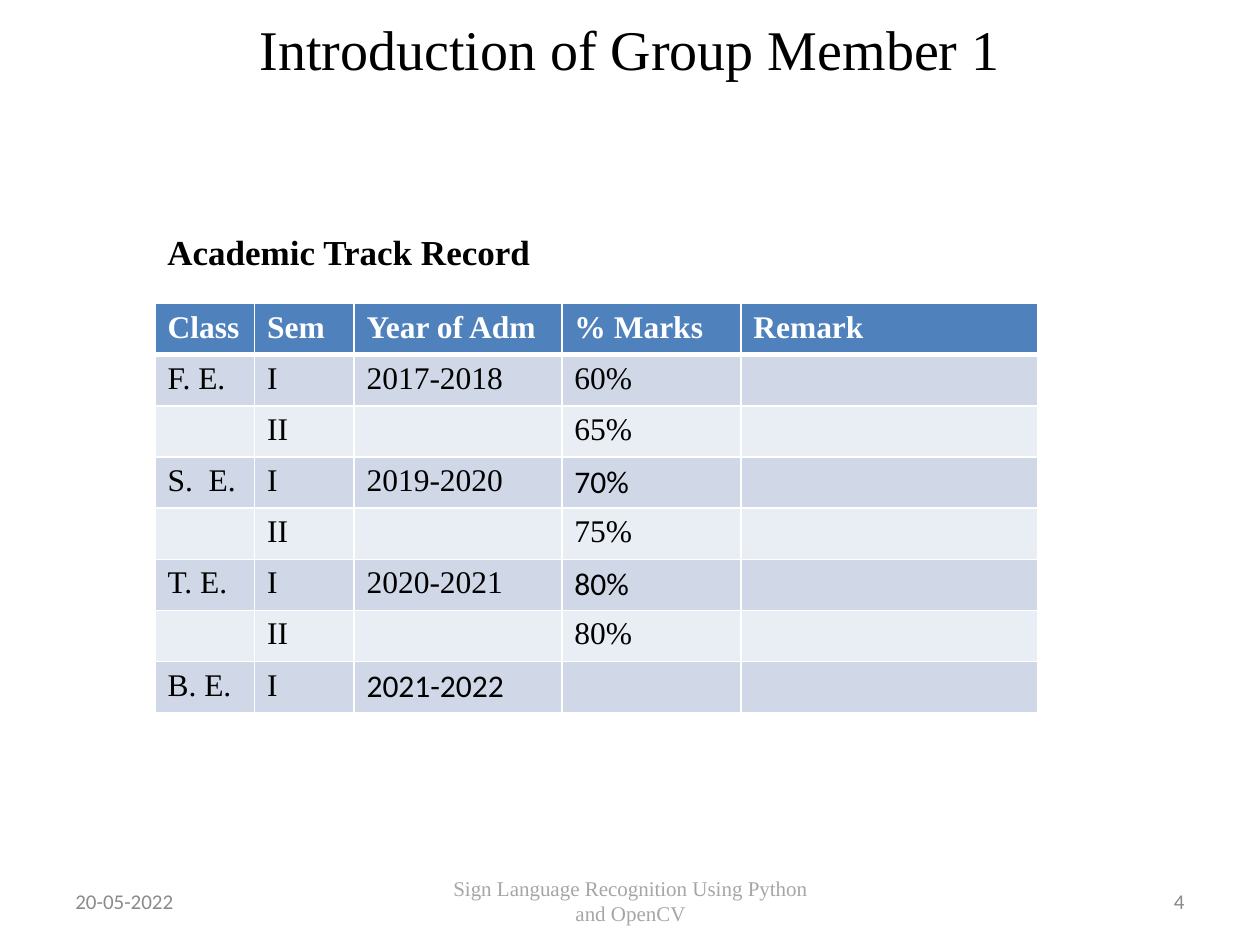
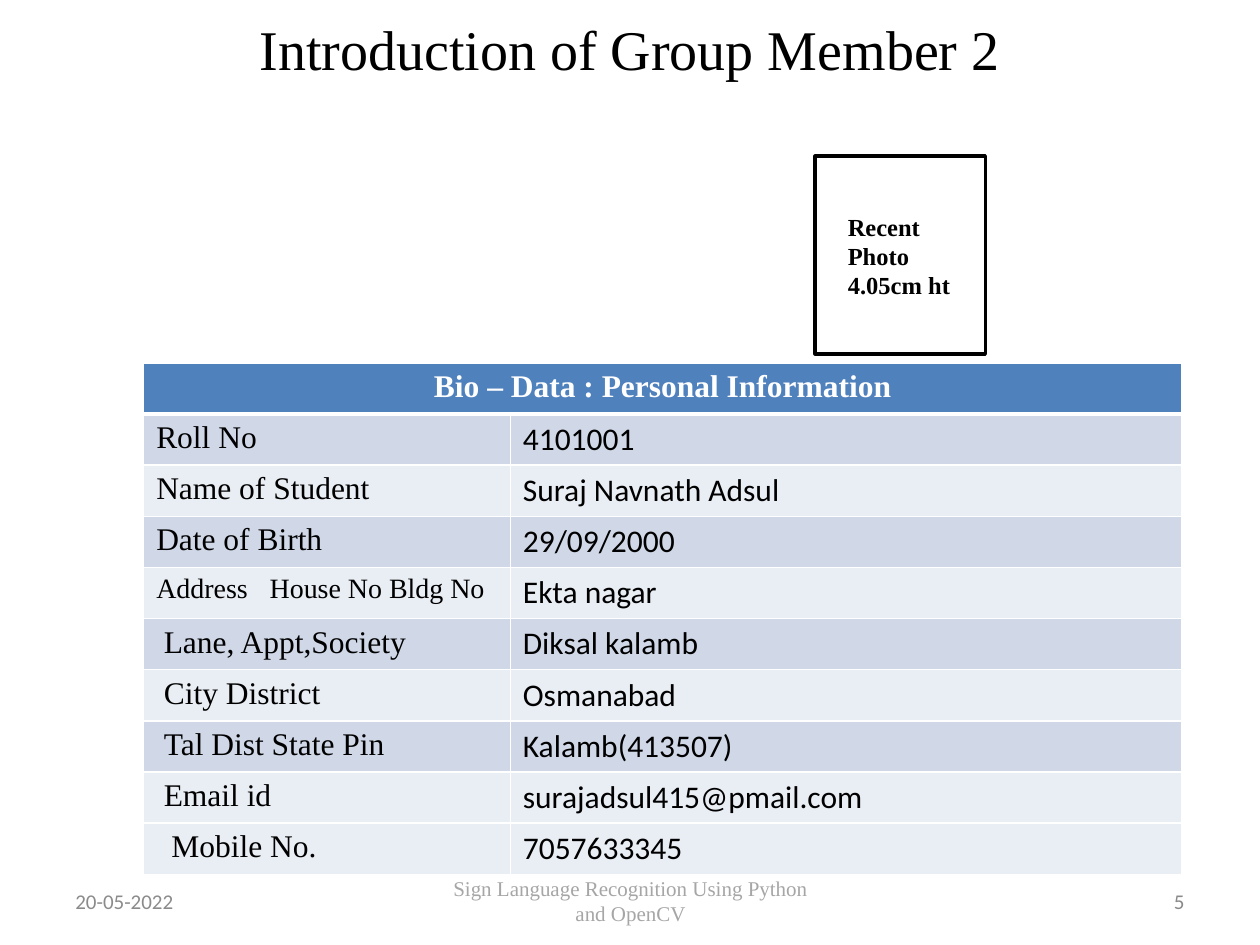
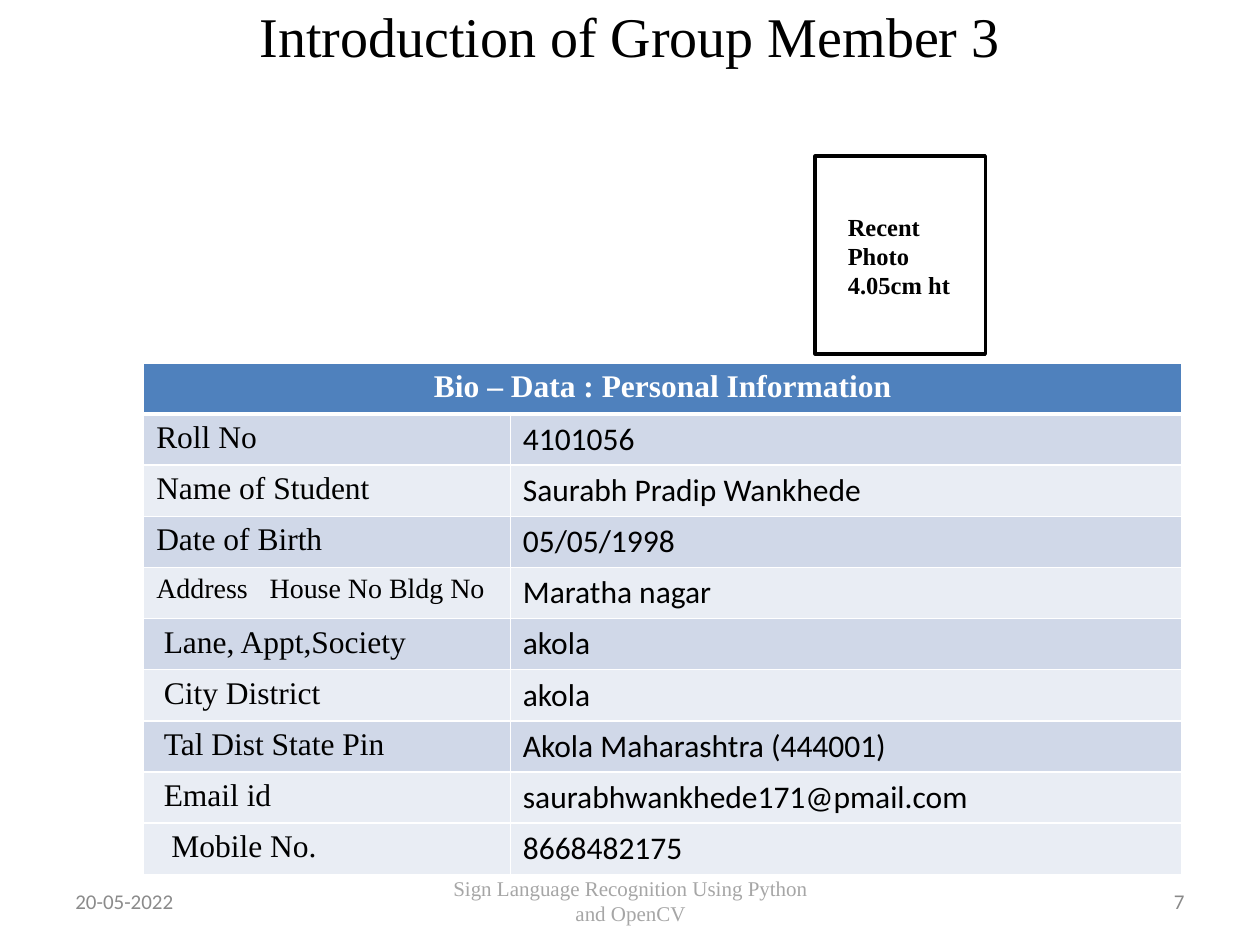
from lxml.etree import SubElement
from pptx import Presentation
from pptx.dml.color import RGBColor
from pptx.enum.shapes import MSO_SHAPE
from pptx.enum.text import MSO_ANCHOR as ANCHOR, MSO_AUTO_SIZE as AUTO, PP_ALIGN as ALIGN
from pptx.oxml.ns import qn
from pptx.util import Emu, Pt

PX = 9144
SERIF, SANS = "Times New Roman", "Calibri"
COLORS = {
    "text": "000000", "white": "FFFFFF", "header": "4F81BD",
    "dark_band": "D0D8E8", "light_band": "E9EDF4",
    "date": "8B8B8B", "footer": "A6A6A6", "number": "898989",
}
RECORD = [
    ["Class", "Sem", "Year of Adm", "% Marks", "Remark"],
    ["F. E.", "I", "2017-2018", "60%", ""],
    ["", "II", "", "65%", ""],
    ["S.  E.", "I", "2019-2020", "70%", ""],
    ["", "II", "", "75%", ""],
    ["T. E.", "I", "2020-2021", "80%", ""],
    ["", "II", "", "80%", ""],
    ["B. E.", "I", "2021-2022", "", ""],
]
RECORD_SANS = {(3, 3), (5, 3), (7, 2)}
BIO_TITLE = "Bio – Data : Personal Information"
BIO_LABELS = [
    "Roll No", "Name of Student", "Date of Birth", "Address\tHouse No Bldg No",
    "Lane, Appt,Society", "City District", "Tal Dist State Pin", "Email id", "Mobile No.",
]
BIO_INDENTS = [0, 0, 0, 0, 6, 6, 6, 6, 12]
ADDRESS_ROW = 4
MEMBERS = [
    ("Introduction of Group Member 2", -9, 5, [
        "4101001", "Suraj Navnath Adsul", "29/09/2000", "Ekta nagar", "Diksal kalamb",
        "Osmanabad", "Kalamb(413507)", "surajadsul415@pmail.com", "7057633345"]),
    ("Introduction of Group Member 3", -20, 7, [
        "4101056", "Saurabh Pradip Wankhede", "05/05/1998", "Maratha nagar", "akola",
        "akola", "Akola Maharashtra (444001)", "saurabhwankhede171@pmail.com", "8668482175"]),
]


def px(n):
    """Turn px into EMU."""
    return Emu(round(n * PX))


def rgb(name):
    """Look up a named colour."""
    return RGBColor.from_string(COLORS[name])


def add_run(p, text, size, font=SERIF, color="text", bold=False):
    """Add one formatted run to a paragraph."""
    r = p.add_run()
    r.text = text
    r.font.size, r.font.name, r.font.bold = Pt(size), font, bold
    r.font.color.rgb = rgb(color)
    return r


def add_text(shapes, box, text, size, align=ALIGN.LEFT, anchor=ANCHOR.TOP, wrap=True, **style):
    """Add a text box with one paragraph."""
    tf = shapes.add_textbox(*map(px, box)).text_frame
    tf.word_wrap, tf.vertical_anchor = wrap, anchor
    tf.paragraphs[0].alignment = align
    add_run(tf.paragraphs[0], text, size, **style)
    return tf


def add_footer(slide, box, number):
    """Place date, project name and page number in the footer band."""
    x, y, w, h = box
    parts = [
        (0, 233, "20-05-2022", ALIGN.LEFT, SANS, "date"),
        (292, 317, "Sign Language Recognition Using Python and OpenCV", ALIGN.CENTER, SERIF, "footer"),
        (w - 233, 233, str(number), ALIGN.RIGHT, SANS, "number"),
    ]
    for dx, width, text, align, font, color in parts:
        add_text(slide.shapes, (x + dx, y, width, h), text, 12, align, ANCHOR.MIDDLE,
                 font=font, color=color)


def start_slide(prs, title, top, number):
    """Add a slide with its title and footer."""
    slide = prs.slides.add_slide(prs.slide_layouts[5])
    sp = slide.shapes.title
    sp.left, sp.top, sp.width, sp.height = map(px, (50, top, 900, 95))
    sp.text_frame.vertical_anchor = ANCHOR.MIDDLE
    p = sp.text_frame.paragraphs[0]
    p.alignment = ALIGN.CENTER
    add_run(p, title, 32)
    add_footer(slide, (50, 695, 900, 40), number)
    return slide


def set_borders(cell, row):
    """Draw white cell borders, thick under the header row."""
    tc_pr = cell._tc.get_or_add_tcPr()
    widths = {"L": 0.96, "R": 0.96, "T": 3 if row == 1 else 0.96, "B": 3 if row == 0 else 0.96}
    for i, (side, width) in enumerate(widths.items()):
        ln = SubElement(tc_pr, qn(f"a:ln{side}"), w=str(Pt(width)))
        fill = SubElement(ln, qn("a:solidFill"))
        SubElement(fill, qn("a:srgbClr"), val=COLORS["white"])
        tc_pr.insert(i, ln)


def add_grid(slide, box, widths, rows, sans_cells):
    """Add a banded table with a header row."""
    x, y, w, h = box
    table = slide.shapes.add_table(len(rows), len(widths), *map(px, box)).table
    for col, width in zip(table.columns, widths):
        col.width = px(width)
    for i, row in enumerate(rows):
        table.rows[i].height = px(h / len(rows))
        band = "dark_band" if min(i, 8) % 2 else "light_band"
        for j, text in enumerate(row):
            cell = table.cell(i, j)
            cell.fill.solid()
            cell.fill.fore_color.rgb = rgb(band if i else "header")
            set_borders(cell, i)
            if text:
                add_run(cell.text_frame.paragraphs[0], text, 18,
                        SANS if (i, j) in sans_cells else SERIF,
                        "white" if i == 0 else "text", i == 0)
    return table


def add_bio(slide, box, values):
    """Add the personal information table."""
    rows = [[BIO_TITLE, ""], *zip(BIO_LABELS, values)]
    sans_cells = {(i, 1) for i in range(1, len(rows))}
    table = add_grid(slide, box, (291, box[2] - 291), rows, sans_cells)
    table.cell(0, 0).merge(table.cell(0, 1))
    table.cell(0, 0).text_frame.paragraphs[0].alignment = ALIGN.CENTER
    for i, indent in enumerate(BIO_INDENTS, 1):
        table.cell(i, 0).margin_left = px(10 + indent)
    p = table.cell(ADDRESS_ROW, 0).text_frame.paragraphs[0]
    p.runs[0].font.size = Pt(16)
    tabs = SubElement(p._p.get_or_add_pPr(), qn("a:tabLst"))
    SubElement(tabs, qn("a:tab"), pos=str(px(90)), algn="l")


def add_photo_frame(slide, box):
    """Add the grouped photo frame and its caption."""
    x, y, w, h = box
    group = slide.shapes.add_group_shape()
    frame = group.shapes.add_shape(MSO_SHAPE.RECTANGLE, *map(px, box))
    frame.shadow.inherit = False
    frame.fill.background()
    frame.line.color.rgb, frame.line.width = rgb("text"), Pt(2)
    tf = add_text(group.shapes, (x + 16, y + 39, w - 33, 80), "Recent Photo 4.05cm ht", 14, bold=True)
    tf.auto_size = AUTO.SHAPE_TO_FIT_TEXT


def record_slide(prs):
    """Build the academic record slide."""
    slide = start_slide(prs, "Introduction of Group Member 1", -9, 4)
    add_grid(slide, (123, 241, 701, 325), (79, 79, 165, 142, 236), RECORD, RECORD_SANS)
    tf = add_text(slide.shapes, (123, 178, 315, 43), "Academic Track Record", 20, wrap=False, bold=True)
    tf.auto_size = AUTO.SHAPE_TO_FIT_TEXT


def member_slide(prs, title, top, number, values):
    """Build one personal information slide."""
    slide = start_slide(prs, title, top, number)
    add_bio(slide, (114, 288, 824, 406), values)
    add_photo_frame(slide, (647, 124, 135, 157))


def main():
    """Build and save the presentation."""
    prs = Presentation()
    prs.slide_width, prs.slide_height = px(1000), px(750)
    record_slide(prs)
    for member in MEMBERS:
        member_slide(prs, *member)
    prs.save("out.pptx")


if __name__ == "__main__":
    main()
